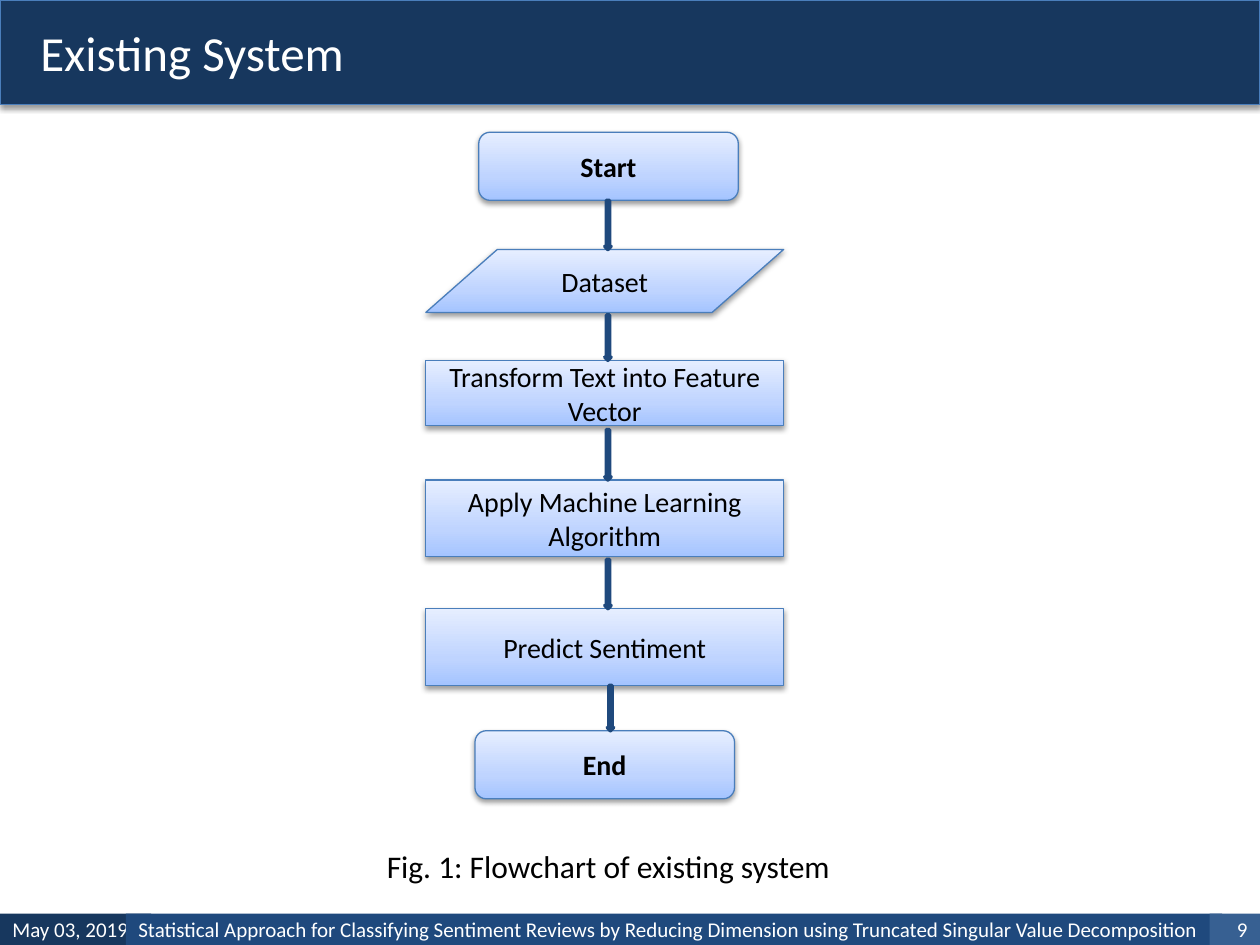
"""Build the Existing System slide with its sentiment analysis flowchart."""
from lxml import etree
from pptx import Presentation
from pptx.dml.color import RGBColor
from pptx.enum.shapes import MSO_SHAPE
from pptx.enum.text import MSO_ANCHOR, PP_ALIGN
from pptx.oxml.ns import qn
from pptx.util import Inches, Pt

ROUNDED, DATA, RECT, ARROW = (MSO_SHAPE.ROUNDED_RECTANGLE, MSO_SHAPE.FLOWCHART_DATA,
                              MSO_SHAPE.RECTANGLE, MSO_SHAPE.DOWN_ARROW)
LEFT, CENTER, RIGHT, JUSTIFY = (PP_ALIGN.LEFT, PP_ALIGN.CENTER, PP_ALIGN.RIGHT,
                                PP_ALIGN.JUSTIFY)
MIDDLE, TOP = MSO_ANCHOR.MIDDLE, MSO_ANCHOR.TOP

COLORS = {"navy": "17375E", "blue": "1F497D", "steel": "376092", "outline": "4A7EBB",
          "white": "FFFFFF", "black": "000000"}
STEP_GRADIENT = [(0, "A4C4FF"), (35, "BFD4FF"), (100, "E6EEFF")]

TITLE = "Existing System"
CAPTION = "Fig. 1: Flowchart of existing system"
STEPS = [
    ("Start", ROUNDED, (3.8, 1.05, 2.06, 0.54)),
    ("Dataset", DATA, (3.38, 1.98, 2.84, 0.5)),
    ("Transform Text into Feature Vector", RECT, (3.38, 2.86, 2.84, 0.52)),
    ("Apply Machine Learning Algorithm", RECT, (3.38, 3.81, 2.84, 0.61)),
    ("Predict Sentiment", RECT, (3.38, 4.83, 2.84, 0.61)),
    ("End", ROUNDED, (3.77, 5.8, 2.06, 0.54)),
]
ARROWS = [(4.8, 1.59), (4.8, 2.5), (4.8, 3.41), (4.8, 4.44), (4.82, 5.44)]
ARROW_WIDTH = 0.05
FOOTER = [
    ("May 03, 2019", 0, 1.2, "navy", LEFT),
    ("Statistical Approach for Classifying Sentiment Reviews by Reducing Dimension "
     "using Truncated Singular Value Decomposition", 1, 8.7, "blue", JUSTIFY),
    ("9", 9.6, 0.4, "steel", RIGHT),
]
FOOTER_TOP, FOOTER_HEIGHT = 7.25, 0.25
INDENT = 0.32


def rgb(name):
    return RGBColor.from_string(COLORS[name])


def write(shape, text, size, color, align=LEFT, bold=False, anchor=MIDDLE, indent=0.1):
    frame = shape.text_frame
    frame.text = text
    frame.word_wrap = True
    frame.vertical_anchor = anchor
    frame.margin_left, frame.margin_right = Inches(indent), Inches(0.1)
    frame.margin_top = frame.margin_bottom = Inches(0.05)
    paragraph = frame.paragraphs[0]
    paragraph.alignment = align
    font = paragraph.font
    font.name, font.size, font.bold = "Calibri", Pt(size), bold
    font.color.rgb = rgb(color)


def outline(shape, color, width):
    shape.line.color.rgb = rgb(color)
    shape.line.width = Pt(width)


def add_shadow(shape):
    properties = shape._element.spPr
    effects = properties.find(qn("a:effectLst"))
    if effects is None:
        effects = etree.SubElement(properties, qn("a:effectLst"))
    outer = etree.SubElement(effects, qn("a:outerShdw"), blurRad="40000", dist="20000",
                             dir="5400000", rotWithShape="0")
    tint = etree.SubElement(outer, qn("a:srgbClr"), val=COLORS["black"])
    etree.SubElement(tint, qn("a:alpha"), val="38000")


def fill_gradient(shape):
    shape.fill.gradient()
    shape.fill.gradient_angle = 90
    stops = shape._element.spPr.find(qn("a:gradFill")).find(qn("a:gsLst"))
    for stop in list(stops):
        stops.remove(stop)
    for percent, color in STEP_GRADIENT:
        stop = etree.SubElement(stops, qn("a:gs"), pos=str(percent * 1000))
        etree.SubElement(stop, qn("a:srgbClr"), val=color)


def add_shape(slide, kind, box):
    shape = slide.shapes.add_shape(kind, *map(Inches, box))
    shape.shadow.inherit = False
    return shape


def add_title(slide):
    title = slide.shapes.title
    title.left, title.top, title.width, title.height = map(Inches, (0, 0, 10, 0.83))
    title.fill.solid()
    title.fill.fore_color.rgb = rgb("navy")
    outline(title, "outline", 0.75)
    add_shadow(title)
    write(title, TITLE, 28, "white", indent=INDENT)


def add_flowchart(slide):
    for label, kind, box in STEPS:
        step = add_shape(slide, kind, box)
        fill_gradient(step)
        outline(step, "outline", 0.75)
        add_shadow(step)
        write(step, label, 16, "black", CENTER, bold=kind == ROUNDED)
    for (left, top), (_, _, next_box) in zip(ARROWS, STEPS[1:]):
        arrow = add_shape(slide, ARROW, (left, top, ARROW_WIDTH, next_box[1] - top))
        arrow.fill.solid()
        arrow.fill.fore_color.rgb = rgb("black")
        outline(arrow, "blue", 2)
    caption = slide.shapes.add_textbox(*map(Inches, (2.75, 6.67, 5, 0.4)))
    write(caption, CAPTION, 18, "black", anchor=TOP, indent=INDENT)


def add_footer(slide):
    for text, left, width, color, align in FOOTER:
        bar = add_shape(slide, RECT, (left, FOOTER_TOP, width, FOOTER_HEIGHT))
        bar.fill.solid()
        bar.fill.fore_color.rgb = rgb(color)
        bar.line.fill.background()
        write(bar, text, 12, "white", align)


def main():
    deck = Presentation()
    deck.slide_width, deck.slide_height = Inches(10), Inches(7.5)
    slide = deck.slides.add_slide(deck.slide_layouts[5])
    add_title(slide)
    add_flowchart(slide)
    add_footer(slide)
    deck.save("out.pptx")


if __name__ == "__main__":
    main()
